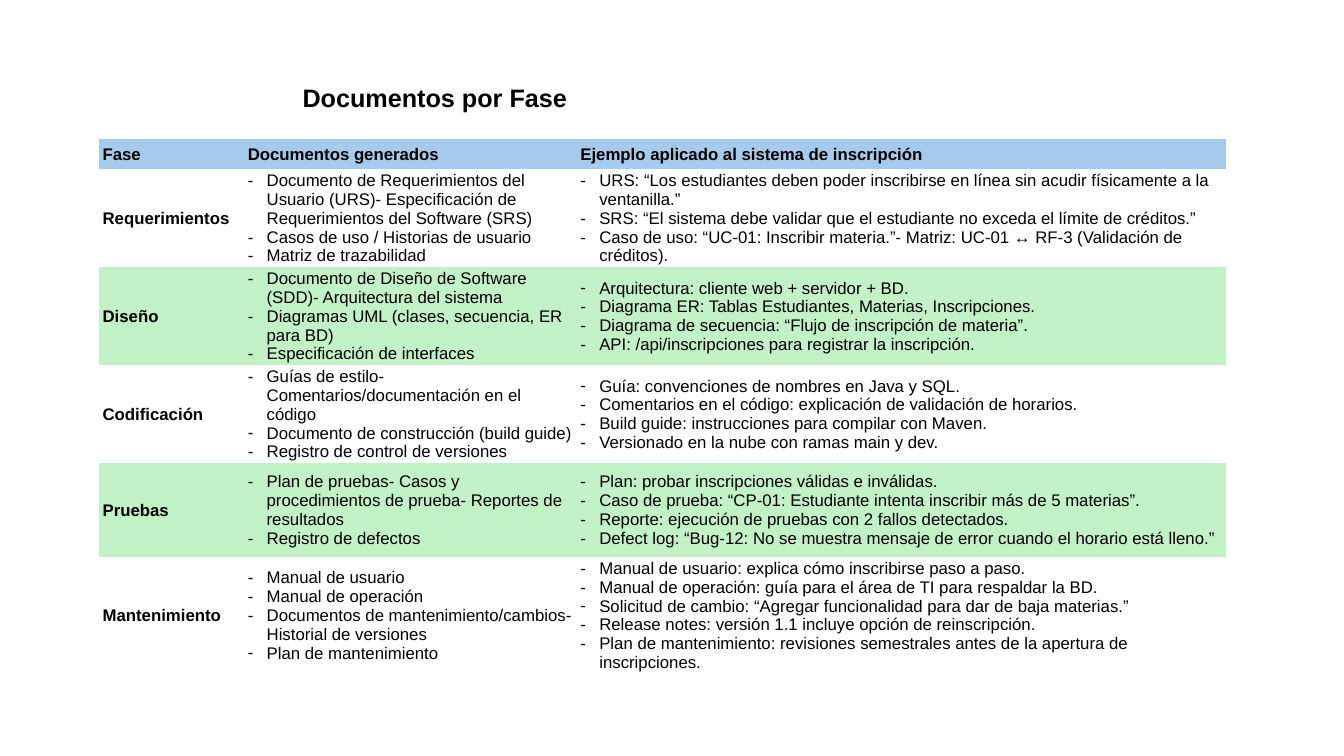
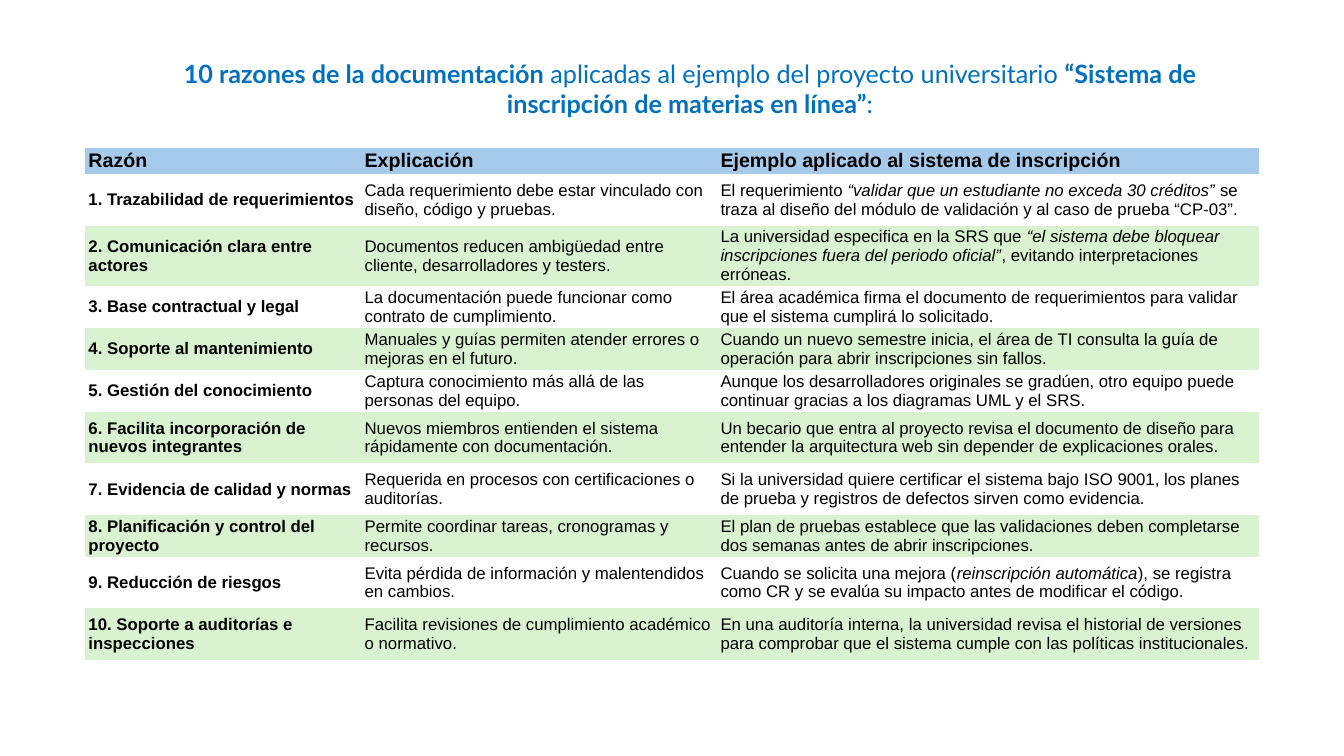
from lxml import etree
from pptx import Presentation
from pptx.dml.color import RGBColor
from pptx.enum import text as tx
from pptx.oxml.ns import qn
from pptx.util import Pt

THEME = {
    "font": "Arial", "ink": "000000", "head": "A6CAEC",
    "title": 18, "body": 12, "indent": 13.5,
    "plain": "{2D5ABB26-0587-4C30-8999-92F81FD0307C}",
}

# Asterisks enclose stressed words: bold in titles, italic in cells.
# A cell given as a list is drawn as a dashed list.
PHASES = [
    ("Fase", "Documentos generados", "Ejemplo aplicado al sistema de inscripción"),
    ("Requerimientos",
     ["Documento de Requerimientos del Usuario (URS)- Especificación de Requerimientos del Software (SRS)",
      "Casos de uso / Historias de usuario",
      "Matriz de trazabilidad"],
     ["URS: “Los estudiantes deben poder inscribirse en línea sin acudir físicamente a la ventanilla.”",
      "SRS: “El sistema debe validar que el estudiante no exceda el límite de créditos.”",
      "Caso de uso: “UC-01: Inscribir materia.”- Matriz: UC-01 ↔ RF-3 (Validación de créditos)."]),
    ("Diseño",
     ["Documento de Diseño de Software (SDD)- Arquitectura del sistema",
      "Diagramas UML (clases, secuencia, ER para BD)",
      "Especificación de interfaces"],
     ["Arquitectura: cliente web + servidor + BD.",
      "Diagrama ER: Tablas Estudiantes, Materias, Inscripciones.",
      "Diagrama de secuencia: “Flujo de inscripción de materia”.",
      "API: /api/inscripciones para registrar la inscripción."]),
    ("Codificación",
     ["Guías de estilo- Comentarios/documentación en el código",
      "Documento de construcción (build guide)",
      "Registro de control de versiones"],
     ["Guía: convenciones de nombres en Java y SQL.",
      "Comentarios en el código: explicación de validación de horarios.",
      "Build guide: instrucciones para compilar con Maven.",
      "Versionado en la nube con ramas main y dev."]),
    ("Pruebas",
     ["Plan de pruebas- Casos y procedimientos de prueba- Reportes de resultados",
      "Registro de defectos"],
     ["Plan: probar inscripciones válidas e inválidas.",
      "Caso de prueba: “CP-01: Estudiante intenta inscribir más de 5 materias”.",
      "Reporte: ejecución de pruebas con 2 fallos detectados.",
      "Defect log: “Bug-12: No se muestra mensaje de error cuando el horario está lleno.”"]),
    ("Mantenimiento",
     ["Manual de usuario",
      "Manual de operación",
      "Documentos de mantenimiento/cambios- Historial de versiones",
      "Plan de mantenimiento"],
     ["Manual de usuario: explica cómo inscribirse paso a paso.",
      "Manual de operación: guía para el área de TI para respaldar la BD.",
      "Solicitud de cambio: “Agregar funcionalidad para dar de baja materias.”",
      "Release notes: versión 1.1 incluye opción de reinscripción.",
      "Plan de mantenimiento: revisiones semestrales antes de la apertura de inscripciones."]),
]

REASONS = [
    ("Razón", "Explicación", "Ejemplo aplicado al sistema de inscripción"),
    ("1. Trazabilidad de requerimientos",
     "Cada requerimiento debe estar vinculado con diseño, código y pruebas.",
     "El requerimiento *“validar que un estudiante no exceda 30 créditos”* se traza al diseño "
     "del módulo de validación y al caso de prueba “CP-03”."),
    ("2. Comunicación clara entre actores",
     "Documentos reducen ambigüedad entre cliente, desarrolladores y testers.",
     "La universidad especifica en la SRS que *“el sistema debe bloquear inscripciones fuera "
     "del periodo oficial”*, evitando interpretaciones erróneas."),
    ("3. Base contractual y legal",
     "La documentación puede funcionar como contrato de cumplimiento.",
     "El área académica firma el documento de requerimientos para validar que el sistema "
     "cumplirá lo solicitado."),
    ("4. Soporte al mantenimiento",
     "Manuales y guías permiten atender errores o mejoras en el futuro.",
     "Cuando un nuevo semestre inicia, el área de TI consulta la guía de operación para abrir "
     "inscripciones sin fallos."),
    ("5. Gestión del conocimiento",
     "Captura conocimiento más allá de las personas del equipo.",
     "Aunque los desarrolladores originales se gradúen, otro equipo puede continuar gracias a "
     "los diagramas UML y el SRS."),
    ("6. Facilita incorporación de nuevos integrantes",
     "Nuevos miembros entienden el sistema rápidamente con documentación.",
     "Un becario que entra al proyecto revisa el documento de diseño para entender la "
     "arquitectura web sin depender de explicaciones orales."),
    ("7. Evidencia de calidad y normas",
     "Requerida en procesos con certificaciones o auditorías.",
     "Si la universidad quiere certificar el sistema bajo ISO 9001, los planes de prueba y "
     "registros de defectos sirven como evidencia."),
    ("8. Planificación y control del proyecto",
     "Permite coordinar tareas, cronogramas y recursos.",
     "El plan de pruebas establece que las validaciones deben completarse dos semanas antes de "
     "abrir inscripciones."),
    ("9. Reducción de riesgos",
     "Evita pérdida de información y malentendidos en cambios.",
     "Cuando se solicita una mejora (*reinscripción automática*), se registra como CR y se "
     "evalúa su impacto antes de modificar el código."),
    ("10. Soporte a auditorías e inspecciones",
     "Facilita revisiones de cumplimiento académico o normativo.",
     "En una auditoría interna, la universidad revisa el historial de versiones para comprobar "
     "que el sistema cumple con las políticas institucionales."),
]

SLIDES = [
    {"title": "*Documentos por Fase*", "box": (70.6, 55.4, 480, 29),
     "font": THEME["font"], "color": THEME["ink"],
     "rows": PHASES, "at": (70.6, 99.4), "cols": (103.7, 237.6, 463.7),
     "highs": (21.6, 67, 67, 67, 67, 69), "head": 12, "band": "C2F1C8", "pad": 2.7},
    {"title": "*10 razones de la documentación* aplicadas al ejemplo del proyecto universitario "
              "*“Sistema de inscripción de materias en línea”*:",
     "box": (93.6, 38.2, 798.5, 51), "font": "Lato", "color": "0070C0",
     "rows": REASONS, "at": (61, 105.8), "cols": (197.3, 254.2, 386.6),
     "highs": (16, 36.8, 36.8, 30, 30, 30, 36.8, 36.8, 30, 36.8, 36.8),
     "head": 14, "band": "D9F2D0", "pad": 2.2},
]


def write(para, words, size, font=THEME["font"], color=THEME["ink"], bold=False, stress="italic"):
    """Fill a paragraph, giving the words between asterisks the stress style."""
    for i, part in enumerate(words.split("*")):
        if not part:
            continue
        run = para.add_run()
        run.text = part
        run.font.name, run.font.size, run.font.bold = font, Pt(size), bold
        run.font.color.rgb = RGBColor.from_string(color)
        if i % 2:
            setattr(run.font, stress, True)


def dash(para):
    props = para._p.get_or_add_pPr()
    step = Pt(THEME["indent"])
    props.set("marL", str(step))
    props.set("indent", str(-step))
    etree.SubElement(props, qn("a:buFont")).set("typeface", THEME["font"])
    etree.SubElement(props, qn("a:buChar")).set("char", "-")


def add_title(slide, plan):
    title = slide.shapes.title
    title.left, title.top, title.width, title.height = map(Pt, plan["box"])
    frame = title.text_frame
    frame.word_wrap = True
    frame.auto_size = tx.MSO_AUTO_SIZE.NONE
    frame.vertical_anchor = tx.MSO_ANCHOR.TOP
    para = frame.paragraphs[0]
    para.alignment = tx.PP_ALIGN.CENTER
    write(para, plan["title"], THEME["title"], plan["font"], plan["color"], stress="bold")


def fill_cell(cell, item, size, bold, shade, pad):
    cell.margin_left = cell.margin_right = Pt(pad)
    cell.margin_top = cell.margin_bottom = Pt(1.4)
    cell.vertical_anchor = tx.MSO_ANCHOR.MIDDLE
    if shade:
        cell.fill.solid()
        cell.fill.fore_color.rgb = RGBColor.from_string(shade)
    else:
        cell.fill.background()
    listed = isinstance(item, list)
    frame = cell.text_frame
    for i, words in enumerate(item if listed else [item]):
        para = frame.add_paragraph() if i else frame.paragraphs[0]
        if listed:
            dash(para)
        write(para, words, size, bold=bold)


def add_grid(slide, plan):
    rows, cols, highs = plan["rows"], plan["cols"], plan["highs"]
    left, top = plan["at"]
    table = slide.shapes.add_table(len(rows), len(cols), Pt(left), Pt(top),
                                   Pt(sum(cols)), Pt(sum(highs))).table
    table._tbl.tblPr.find(qn("a:tableStyleId")).text = THEME["plain"]
    table.horz_banding = False
    for col, wide in zip(table.columns, cols):
        col.width = Pt(wide)
    for r, row in enumerate(rows):
        table.rows[r].height = Pt(highs[r])
        shade = THEME["head"] if r == 0 else plan["band"] if r % 2 == 0 else None
        size = THEME["body"] if r else plan["head"]
        for c, item in enumerate(row):
            fill_cell(table.cell(r, c), item, size, r == 0 or c == 0, shade, plan["pad"])


def main():
    deck = Presentation()
    deck.slide_width, deck.slide_height = Pt(960), Pt(540)
    for plan in SLIDES:
        slide = deck.slides.add_slide(deck.slide_layouts[5])
        add_grid(slide, plan)
        add_title(slide, plan)
    deck.save("out.pptx")


if __name__ == "__main__":
    main()
